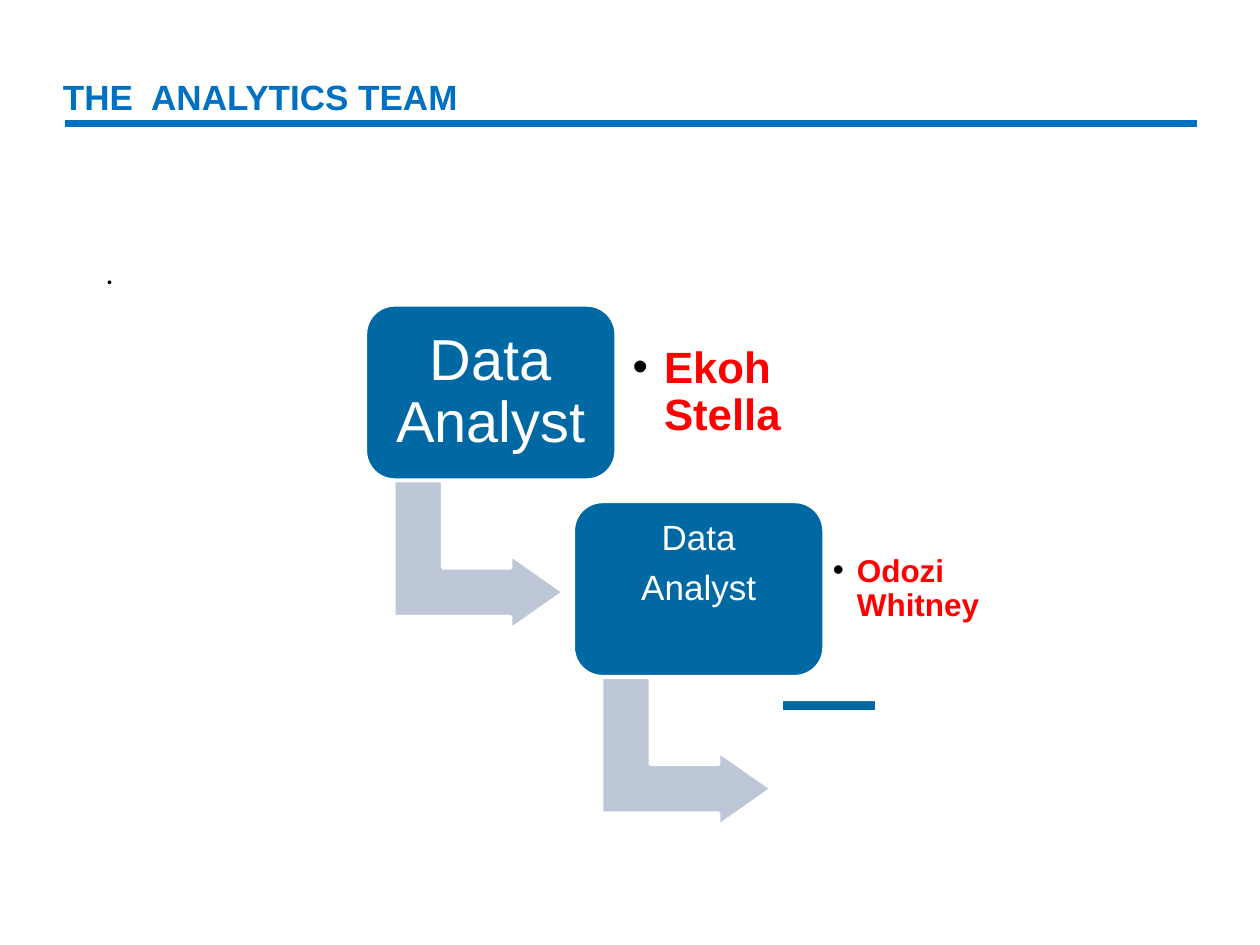
from lxml import etree
from pptx import Presentation
from pptx.dml.color import RGBColor
from pptx.enum.shapes import MSO_CONNECTOR, MSO_SHAPE
from pptx.enum.text import MSO_ANCHOR, PP_ALIGN
from pptx.oxml.ns import qn
from pptx.util import Inches, Pt

TOP, MIDDLE = MSO_ANCHOR.TOP, MSO_ANCHOR.MIDDLE
LEFT, CENTER = PP_ALIGN.LEFT, PP_ALIGN.CENTER
ROUNDED, BENT_ARROW = MSO_SHAPE.ROUNDED_RECTANGLE, MSO_SHAPE.BENT_UP_ARROW

TITLE_BLUE = RGBColor(0x00, 0x70, 0xC0)
BOX_BLUE = RGBColor(0x00, 0x69, 0xA3)
ARROW_GREY = RGBColor(0xBD, 0xC7, 0xD7)
NAME_RED = RGBColor(0xFF, 0x00, 0x00)
WHITE = RGBColor(0xFF, 0xFF, 0xFF)
BLACK = RGBColor(0x00, 0x00, 0x00)

TITLE = "THE  ANALYTICS TEAM"
STEPS = [
    {"role": ["Data Analyst"], "role_size": 33, "role_inset": 0.14, "anchor": MIDDLE,
     "name": "Ekoh Stella", "name_size": 25, "name_inset": 0.13, "indent": 0.25},
    {"role": ["Data", "Analyst"], "role_size": 20, "role_inset": 0.08, "anchor": TOP,
     "name": "Odozi Whitney", "name_size": 18, "name_inset": 0.07, "indent": 0.19},
]
FIRST_LEFT, FIRST_TOP = 2.9, 2.42
STEP_RIGHT, STEP_DOWN = 1.65, 1.56
BOX_WIDTH, BOX_HEIGHT = 1.99, 1.39


def add_text(page, area, lines, size, color, insets, anchor=MIDDLE, align=LEFT,
             bold=False, font="Arial", spacing=0.9, after=0):
    box = page.shapes.add_textbox(*map(Inches, area))
    frame = box.text_frame
    side, edge = map(Inches, insets)
    settings = {"word_wrap": True, "vertical_anchor": anchor, "margin_left": side,
                "margin_right": side, "margin_top": edge, "margin_bottom": edge}
    for key, value in settings.items():
        setattr(frame, key, value)
    frame.text = "\n".join(lines)
    for para in frame.paragraphs:
        for key, value in {"alignment": align, "line_spacing": spacing,
                           "space_after": Pt(after)}.items():
            setattr(para, key, value)
        span = para.runs[0]
        for key, value in {"name": font, "size": Pt(size), "bold": bold}.items():
            setattr(span.font, key, value)
        span.font.color.rgb = color
    return box


def add_bullet(para, indent):
    properties = para._p.get_or_add_pPr()
    properties.set("marL", str(Inches(indent)))
    properties.set("indent", str(-Inches(indent)))
    color = etree.SubElement(properties, qn("a:buClr"))
    etree.SubElement(color, qn("a:srgbClr"), val=str(BLACK))
    etree.SubElement(properties, qn("a:buFont"), typeface="Arial")
    etree.SubElement(properties, qn("a:buChar"), char="•")


def add_block(page, kind, area, fill, adjustments):
    block = page.shapes.add_shape(kind, *map(Inches, area))
    block.shadow.inherit = False
    block.fill.solid()
    block.fill.fore_color.rgb = fill
    block.line.color.rgb = WHITE
    block.line.width = Pt(2)
    for index, value in enumerate(adjustments):
        block.adjustments[index] = value
    return block


def add_step(page, left, top, step):
    arrow = add_block(page, BENT_ARROW, (left + 0.31, top + 1.31, 1.18, 1.35),
                      ARROW_GREY, (0.328, 0.25, 0.358))
    arrow.rotation = 90
    add_block(page, ROUNDED, (left, top, BOX_WIDTH, BOX_HEIGHT), BOX_BLUE, (0.167,))
    add_text(page, (left + 0.07, top + 0.07, 1.85, 1.26), step["role"],
             step["role_size"], WHITE, (step["role_inset"],) * 2, anchor=step["anchor"],
             align=CENTER, after=0.35 * step["role_size"])
    name = add_text(page, (left + BOX_WIDTH, top + 0.13, 1.45, 1.13), [step["name"]],
                    step["name_size"], NAME_RED, (step["name_inset"],) * 2, bold=True,
                    after=0.15 * step["name_size"])
    add_bullet(name.text_frame.paragraphs[0], step["indent"])


def main():
    deck = Presentation()
    deck.slide_width, deck.slide_height = Inches(10), Inches(7.5)
    page = deck.slides.add_slide(deck.slide_layouts[6])

    rule = page.shapes.add_connector(MSO_CONNECTOR.STRAIGHT,
                                     *map(Inches, (0.52, 0.98, 9.5, 0.98)))
    rule.line.color.rgb = TITLE_BLUE
    rule.line.width = Pt(4.5)
    etree.SubElement(rule._element.spPr, qn("a:effectLst"))

    add_text(page, (0.5, 0.64, 9, 0.3), [TITLE], 20, TITLE_BLUE, (0, 0.05), bold=True)
    add_text(page, (0.74, 1.96, 7.18, 0.4), ["."], 18, BLACK, (0.1, 0.05),
             anchor=TOP, font="Calibri", spacing=1.0)

    for index, step in enumerate(STEPS):
        add_step(page, FIRST_LEFT + index * STEP_RIGHT, FIRST_TOP + index * STEP_DOWN, step)
    add_block(page, ROUNDED, (6.2, 5.55, 0.76, 0.1), BOX_BLUE, (0.167,))

    deck.save("out.pptx")


if __name__ == "__main__":
    main()
